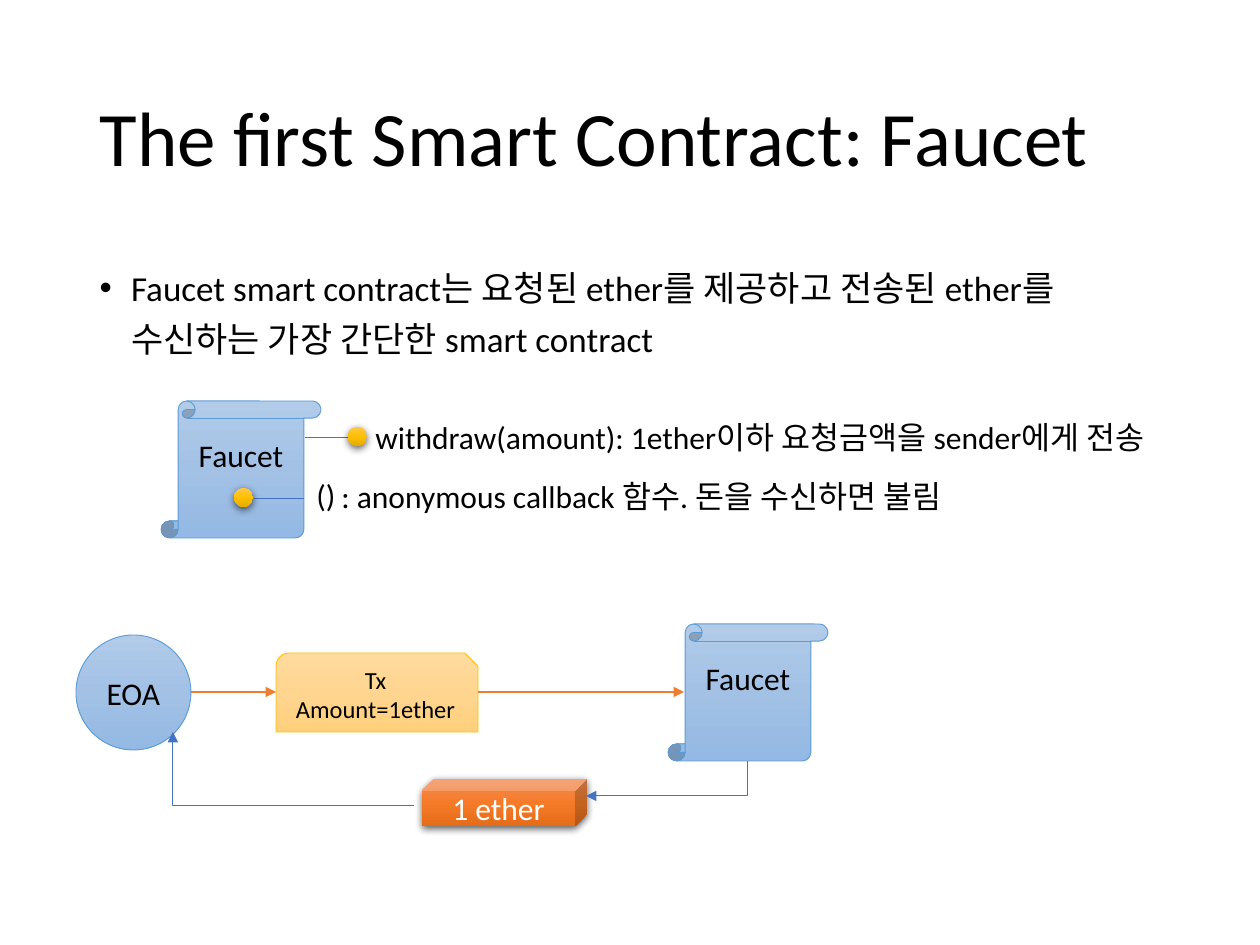
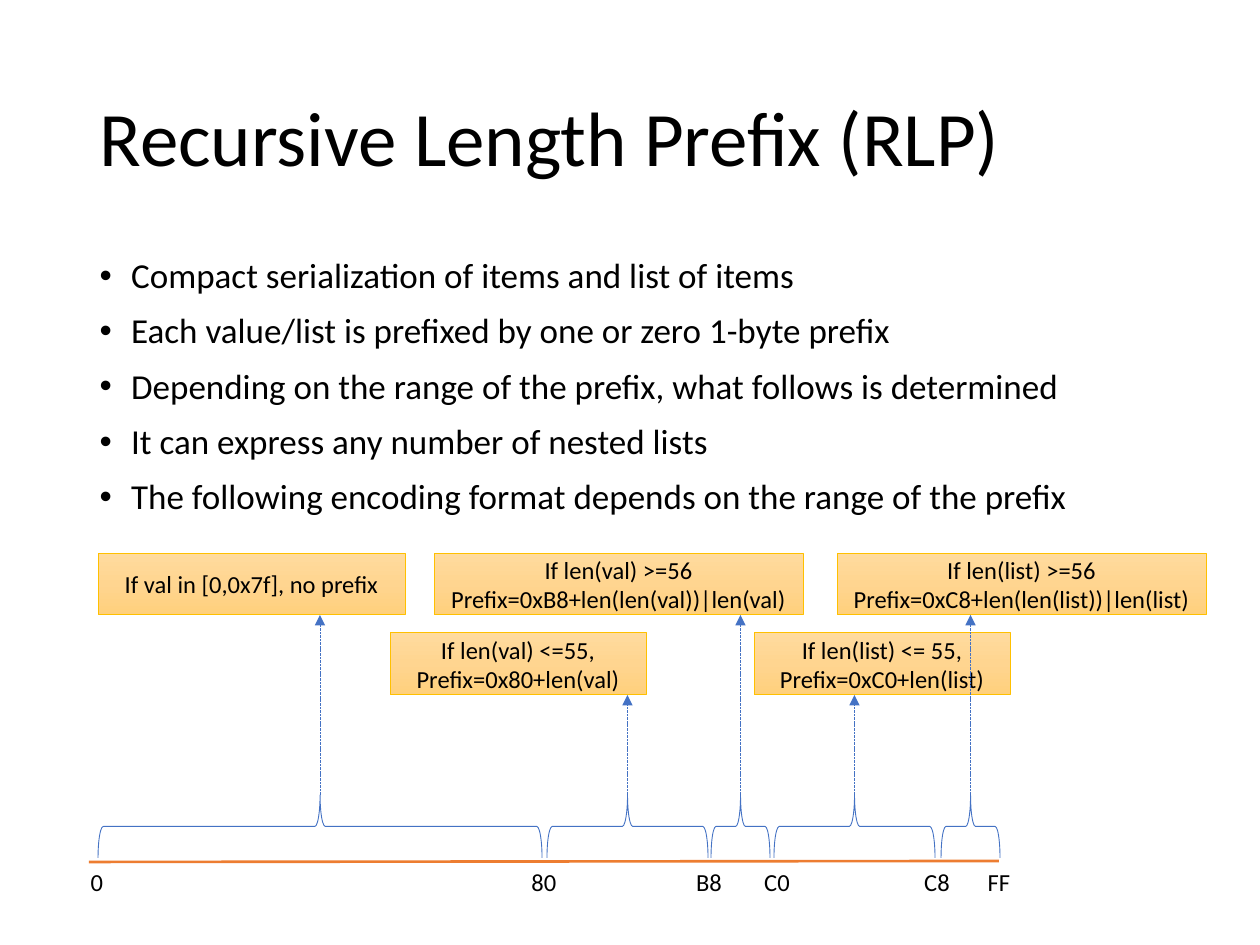
"""Builds two slides: the Faucet smart contract and the RLP prefix ranges."""
from pptx import Presentation, util as u
from pptx.dml.color import RGBColor
from pptx.enum import dml, shapes, text
from pptx.oxml import parse_xml
from pptx.oxml.ns import nsdecls, qn

PX = 914400 / 126
FONT = "Calibri"
BLACK, WHITE = "000000", "FFFFFF"
BLUE, ORANGE = "4472C4", "ED7D31"
MSO = shapes.MSO_SHAPE
CENTER = text.PP_ALIGN.CENTER

STYLES = {
    "blue": (("B1CBE9", "A3C1E5", "93B9E4"), "5B9BD5"),
    "cream": (("FFDB9E", "FFD590", "FFD07C"), "FFC000"),
    "gold": (("FFC64B", "FFC000", "E3AB00"), None),
    "orange": (("F18C57", "F67B28", "E56C19"), None),
}

TITLE_BOX = (87, 50, 1086, 183)
FAUCET = {
    "title": "The first Smart Contract: Faucet",
    "bullets": ["Faucet smart contract는 요청된 ether를 제공하고 전송된 ether를 "
                "수신하는 가장 간단한 smart contract"],
    "body": (87, 252, 1086, 202),
    "spacing": 1.2,
}
SCROLLS = [(161, 401), (668, 624)]
SCROLL_SIZE = (160, 137)
SCROLL_TEXT_LIFT = 38
METHOD_LINES = [((305, 437), (354, 437)), ((254, 498), (304, 498))]
METHOD_DOTS = [(348, 427), (234, 488)]
DOT = 19
METHOD_LABELS = [
    ((363, 412, 832, 50), "withdraw(amount): 1ether이하 요청금액을 sender에게 전송"),
    ((304, 470, 45, 50), "()"),
    ((329, 471, 658, 50), ": anonymous callback 함수. 돈을 수신하면 불림"),
]
FLOW = [
    (MSO.OVAL, (76, 635, 115, 115), "blue", "EOA", 18, BLACK),
    (MSO.SNIP_ROUND_RECTANGLE, (276, 653, 202, 79), "cream", "Tx\nAmount=1ether", 14, BLACK),
    (MSO.CUBE, (422, 779, 165, 47), "orange", "1 ether", 18, WHITE),
]
PAYMENTS = [((191, 692), (276, 692)), ((478, 692), (684, 692))]
REFUNDS = [((586, 796), (747, 761), "head"), ((414, 806), (173, 732), "tail")]

RLP = {
    "title": "Recursive Length Prefix (RLP)",
    "bullets": [
        "Compact serialization of items and list of items",
        "Each value/list is prefixed by one or zero 1-byte prefix",
        "Depending on the range of the prefix, what follows is determined",
        "It can express any number of nested lists",
        "The following encoding format depends on the range of the prefix",
    ],
    "body": (87, 252, 1086, 600),
    "spacing": 0.9,
}
AXIS = ((89, 862), (999, 861))
TICKS = {"0": 97, "80": 544, "B8": 709, "C0": 777, "C8": 937, "FF": 999}
TICK_TOP, TICK_SIZE = 861, (64, 42)
BRACE_TOP, BRACE_HEIGHT = 795, 63
TIERS = (553, 633)
CARD_HEIGHT = 62
RANGES = [
    ((98, 542), 0, (98, 307), "If val in [0,0x7f], no prefix"),
    ((547, 708), 1, (390, 256), "If len(val) <=55,\nPrefix=0x80+len(val)"),
    ((711, 770), 0, (434, 369), "If len(val) >=56\nPrefix=0xB8+len(len(val))|len(val)"),
    ((774, 935), 1, (754, 256), "If len(list) <= 55,\nPrefix=0xC0+len(list)"),
    ((941, 1000), 0, (837, 369), "If len(list) >=56\nPrefix=0xC8+len(len(list))|len(list)"),
]


def px(n):
    return round(n * PX)


def rgb(value):
    return RGBColor.from_string(value)


def write(tf, content, size, color=BLACK, align=None):
    tf.text = content
    for p in tf.paragraphs:
        p.alignment = align
        for r in p.runs:
            r.font.size, r.font.name = u.Pt(size), FONT
            r.font.color.rgb = rgb(color)


def place(sp, box):
    sp.left, sp.top, sp.width, sp.height = map(px, box)


def add_slide(prs, page):
    s = prs.slides.add_slide(prs.slide_layouts[1])
    title, body = s.placeholders
    place(title, TITLE_BOX)
    write(title.text_frame, page["title"], 44, align=text.PP_ALIGN.LEFT)
    title.text_frame.vertical_anchor = text.MSO_ANCHOR.MIDDLE
    title.text_frame.paragraphs[0].line_spacing = 0.9
    place(body, page["body"])
    tf = body.text_frame
    write(tf, "\n".join(page["bullets"]), 20)
    for sp in (title, body):
        sp.text_frame.auto_size = text.MSO_AUTO_SIZE.NONE
    for i, p in enumerate(tf.paragraphs):
        p.line_spacing = page["spacing"]
        p.space_before = u.Pt(10 if i else 0)
        pPr = p._p.get_or_add_pPr()
        pPr.set("marL", str(u.Inches(0.25)))
        pPr.set("indent", str(-u.Inches(0.25)))
        pPr.append(parse_xml(f'<a:buChar {nsdecls("a")} char="•"/>'))
    return s


def add_box(s, kind, box, style, content="", size=18, color=BLACK):
    sp = s.shapes.add_shape(kind, *map(px, box))
    stops, outline = STYLES[style]
    gs = "".join(f'<a:gs pos="{i * 50000}"><a:srgbClr val="{c}"/></a:gs>'
                 for i, c in enumerate(stops))
    sp._element.spPr.append(parse_xml(
        f'<a:gradFill {nsdecls("a")} rotWithShape="1"><a:gsLst>{gs}</a:gsLst>'
        '<a:lin ang="5400000" scaled="0"/></a:gradFill>'))
    sp.shadow.inherit = False
    if outline:
        sp.line.color.rgb, sp.line.width = rgb(outline), u.Pt(0.5)
    else:
        sp.line.fill.background()
        sp._element.spPr.find(qn("a:effectLst")).append(parse_xml(
            f'<a:outerShdw {nsdecls("a")} blurRad="{u.Pt(4.5)}" dist="{u.Pt(1.5)}" '
            'dir="5400000" algn="ctr" rotWithShape="0"><a:srgbClr val="000000">'
            '<a:alpha val="63000"/></a:srgbClr></a:outerShdw>'))
    if content:
        sp.text_frame.vertical_anchor = text.MSO_ANCHOR.MIDDLE
        write(sp.text_frame, content, size, color, CENTER)
    return sp


def add_label(s, box, content, size, align=None):
    tf = s.shapes.add_textbox(*map(px, box)).text_frame
    tf.word_wrap = False
    write(tf, content, size, align=align)


def add_line(s, start, end, color=BLUE, width=0.5, arrow=None, bent=False, dashed=False):
    kind = shapes.MSO_CONNECTOR.ELBOW if bent else shapes.MSO_CONNECTOR.STRAIGHT
    c = s.shapes.add_connector(kind, *map(px, start + end))
    c.line.color.rgb, c.line.width = rgb(color), u.Pt(width)
    if dashed:
        c.line.dash_style = dml.MSO_LINE.SQUARE_DOT
    spPr = c._element.spPr
    if bent:
        spPr.find(qn("a:prstGeom")).set("prst", "bentConnector2")
    if arrow:
        c.line._get_or_add_ln().append(
            parse_xml(f'<a:{arrow}End {nsdecls("a")} type="triangle"/>'))
    spPr.append(parse_xml(f'<a:effectLst {nsdecls("a")}/>'))


def add_brace(s, left, right):
    span = right - left
    x, y = (left + right) / 2, BRACE_TOP + BRACE_HEIGHT / 2
    sp = s.shapes.add_shape(MSO.LEFT_BRACE, *map(px, (
        x - BRACE_HEIGHT / 2, y - span / 2, BRACE_HEIGHT, span)))
    sp.rotation = 90
    sp.fill.background()
    sp.line.color.rgb, sp.line.width = rgb(BLUE), u.Pt(0.5)
    sp.shadow.inherit = False


def build_faucet(prs):
    s = add_slide(prs, FAUCET)
    for corner in SCROLLS:
        sp = add_box(s, MSO.VERTICAL_SCROLL, corner + SCROLL_SIZE, "blue", "Faucet")
        sp.text_frame.margin_bottom += px(SCROLL_TEXT_LIFT)
    for (start, end), corner in zip(METHOD_LINES, METHOD_DOTS):
        add_line(s, start, end)
        add_box(s, MSO.OVAL, corner + (DOT, DOT), "gold")
    for box, content in METHOD_LABELS:
        add_label(s, box, content, 18)
    for part in FLOW:
        add_box(s, *part)
    for start, end in PAYMENTS:
        add_line(s, start, end, ORANGE, 1, "tail")
    for start, end, arrow in REFUNDS:
        add_line(s, start, end, arrow=arrow, bent=True)


def build_rlp(prs):
    s = add_slide(prs, RLP)
    add_line(s, *AXIS, ORANGE, 1.5)
    for name, x in TICKS.items():
        add_label(s, (x - TICK_SIZE[0] / 2, TICK_TOP) + TICK_SIZE, name, 14, CENTER)
    for (left, right), tier, (x, width), rule in RANGES:
        add_brace(s, left, right)
        add_box(s, MSO.RECTANGLE, (x, TIERS[tier], width, CARD_HEIGHT), "cream", rule, 14)
    for (left, right), tier, *_ in RANGES:
        x = (left + right) / 2
        add_line(s, (x, BRACE_TOP), (x, TIERS[tier] + CARD_HEIGHT), arrow="tail", dashed=True)


def main():
    prs = Presentation()
    prs.slide_width, prs.slide_height = u.Inches(10), u.Inches(7.5)
    build_faucet(prs)
    build_rlp(prs)
    prs.save("out.pptx")


if __name__ == "__main__":
    main()
